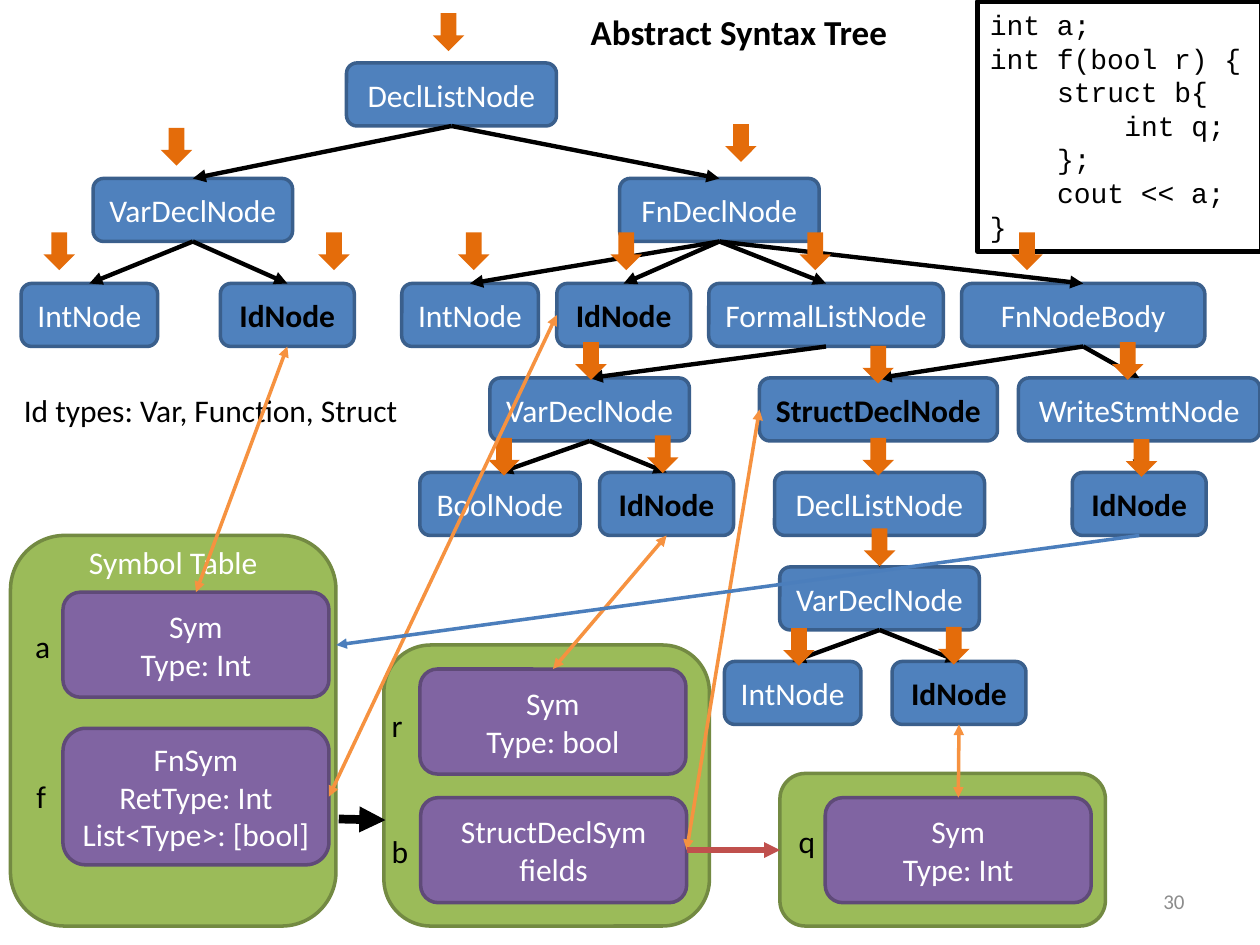
from lxml import etree
from pptx import Presentation
from pptx.dml.color import RGBColor
from pptx.enum import shapes as s, text as t
from pptx.oxml import ns
from pptx.util import Pt

HUES = {
    "black": "000000", "white": "FFFFFF", "gray": "8C8C8C",
    "node": "4F81BD", "node edge": "3A5F8C",
    "scope": "9BBB59", "scope edge": "738A42",
    "sym": "8064A2", "sym edge": "5F4A78",
    "mark": "E46C0A", "link": "F69240", "field": "C0504D", "use": "4B7EBC",
}
HUE = {name: RGBColor.from_string(code) for name, code in HUES.items()}

deck = Presentation()
deck.slide_width, deck.slide_height = Pt(720), Pt(540)
slide = deck.slides.add_slide(deck.slide_layouts[6])


def put(kind, box, words="", fill=None, edge=None, ink="white", size=18,
        bold=False, font="Calibri", align=t.PP_ALIGN.CENTER,
        anchor=t.MSO_ANCHOR.MIDDLE, width=2):
    """Add a preset shape, or a text box if kind is None, with its text."""
    place = [Pt(n) for n in box]
    if kind is None:
        item = slide.shapes.add_textbox(*place)
    else:
        item = slide.shapes.add_shape(kind, *place)
        item.shadow.inherit = False
        if fill:
            item.fill.solid()
            item.fill.fore_color.rgb = HUE[fill]
        else:
            item.fill.background()
        if edge:
            item.line.color.rgb = HUE[edge]
            item.line.width = Pt(width)
        else:
            item.line.fill.background()
    frame = item.text_frame
    frame.text = words
    frame.word_wrap = False
    frame.vertical_anchor = anchor
    for para in frame.paragraphs:
        para.alignment = align
        for run in para.runs:
            run.font.name, run.font.size, run.font.bold = font, Pt(size), bold
            run.font.color.rgb = HUE[ink]
    return item


def link(start, end, hue, width, both=False):
    """Join two ends, each a (shape, site) pair or an (x, y) point."""
    line = slide.shapes.add_connector(s.MSO_CONNECTOR.STRAIGHT, 0, 0, 0, 0)
    if isinstance(start[0], (int, float)):
        line.begin_x, line.begin_y = Pt(start[0]), Pt(start[1])
    else:
        line.begin_connect(*start)
    if isinstance(end[0], (int, float)):
        line.end_x, line.end_y = Pt(end[0]), Pt(end[1])
    else:
        line.end_connect(*end)
    line.line.color.rgb = HUE[hue]
    line.line.width = Pt(width)
    stroke = line.line._get_or_add_ln()
    for tag in ["a:headEnd", "a:tailEnd"] if both else ["a:tailEnd"]:
        etree.SubElement(stroke, ns.qn(tag)).set("type", "triangle")
    etree.SubElement(line._element.spPr, ns.qn("a:effectLst"))


ROUND = s.MSO_SHAPE.ROUNDED_RECTANGLE
LEFT, TOP = t.PP_ALIGN.LEFT, t.MSO_ANCHOR.TOP
NORTH, WEST, SOUTH, EAST = range(4)

put(None, (516.2, 500.5, 167.8, 28.8), "30", ink="gray", size=12,
    align=t.PP_ALIGN.RIGHT).text_frame.word_wrap = True

# Source code, with the depth of each line
code = [(0, "int a;"), (0, "int f(bool r) {"), (1, "struct b{"),
        (2, "int q;"), (1, "};"), (1, "cout << a;"), (0, "}")]
panel = put(s.MSO_SHAPE.RECTANGLE, (558.6, 0.8, 162, 143),
            "\n".join(row for depth, row in code), edge="black", ink="black",
            size=16, font="Courier New", align=LEFT, anchor=TOP, width=2.5)
for (depth, row), para in zip(code, panel.text_frame.paragraphs):
    para._p.get_or_add_pPr().set("marL", str(Pt(38.4 * depth)))

# Tree: key, label, centre x, row top, parent key
tree = [
    ("root", "DeclListNode", 258, 36, None),
    ("var a", "VarDeclNode", 110.2, 102, "root"),
    ("fn", "FnDeclNode", 411.1, 102, "root"),
    ("type a", "IntNode", 51.1, 162, "var a"),
    ("id a", "IdNode", 164.2, 162, "var a"),
    ("type f", "IntNode", 268.6, 162, "fn"),
    ("id f", "IdNode", 356.4, 162, "fn"),
    ("formals", "FormalListNode", 472, 162, "fn"),
    ("body", "FnNodeBody", 619, 162, "fn"),
    ("var r", "VarDeclNode", 337, 216, "formals"),
    ("struct", "StructDeclNode", 502, 216, "body"),
    ("write", "WriteStmtNode", 651, 216, "body"),
    ("type r", "BoolNode", 285.7, 270, "var r"),
    ("id r", "IdNode", 380.9, 270, "var r"),
    ("decls", "DeclListNode", 502.6, 270, "struct"),
    ("use a", "IdNode", 651, 270, "write"),
    ("var q", "VarDeclNode", 502.6, 324, "decls"),
    ("type q", "IntNode", 453, 378, "var q"),
    ("id q", "IdNode", 548, 378, "var q"),
]
wide = {"DeclListNode": 120, "VarDeclNode": 114, "FnDeclNode": 114,
        "IntNode": 78, "IdNode": 76.5, "FormalListNode": 134,
        "FnNodeBody": 139, "StructDeclNode": 136, "WriteStmtNode": 138,
        "BoolNode": 91.5}
nodes = {}
for key, label, mid, top, up in tree:
    named = label in ("IdNode", "StructDeclNode")
    nodes[key] = put(ROUND, (mid - wide[label] / 2, top, wide[label], 36),
                     label, "node", "node edge",
                     ink="black" if named else "white", bold=named)
for key, label, mid, top, up in tree:
    if up:
        link((nodes[up], SOUTH), (nodes[key], NORTH), "black", 2.5)

put(None, (330.5, 2.2, 185, 31.5), "Abstract Syntax Tree", ink="black",
    size=20, bold=True, align=LEFT, anchor=TOP)
table = put(ROUND, (6, 306, 186, 223.2), "Symbol Table", "scope",
            "scope edge", anchor=TOP)
table.text_frame.margin_top = Pt(-4.5)
put(None, (6.5, 219.6, 231, 29), "Id types: Var, Function, Struct",
    ink="black", align=LEFT, anchor=TOP)

# Visit markers
marks = [(245.5, 9.4), (90, 74.9), (412.6, 72.7), (326.9, 197.3),
         (491, 199.4), (633.6, 197.3), (277.2, 252), (367.9, 250.6),
         (491, 252), (641.5, 252.7), (491.8, 303.8), (445.7, 360.7),
         (534.2, 360)]
marks += [(x, 134.6) for x in (23, 180, 259.9, 347, 455, 576)]
for x, y in marks:
    put(s.MSO_SHAPE.RIGHT_ARROW, (x, y, 21.6, 18), fill="mark").rotation = 90

# Inner scopes and the symbols
for box in [(219.4, 368.6, 186, 160.6), (445.7, 442, 186, 87.2)]:
    put(ROUND, box, fill="scope", edge="scope edge")
syms = {}
for name, words, x, y, high, tag_x, tag_y in [
    ("a", "Sym\nType: Int", 36, 338.4, 60, 13, 354.5),
    ("f", "FnSym\nRetType: Int\nList<Type>: [bool]", 36, 416.2, 78, 13.7, 440.6),
    ("b", "StructDeclSym\nfields", 240.4, 455.8, 60, 216.7, 471.6),
    ("r", "Sym\nType: bool", 240, 382.3, 60, 216.7, 399.6),
    ("q", "Sym\nType: Int", 471.6, 455.8, 60, 449.3, 466),
]:
    syms[name] = put(ROUND, (x, y, 152, high), words, "sym", "sym edge")
    put(None, (tag_x, tag_y, 24, 29), name, ink="black", align=LEFT, anchor=TOP)

# Links between tree and symbols
for key, side, name, site in [
    ("id a", SOUTH, "a", NORTH), ("id f", WEST, "f", EAST),
    ("id r", SOUTH, "r", NORTH), ("struct", WEST, "b", EAST),
    ("id q", SOUTH, "q", NORTH),
]:
    link((nodes[key], side), (syms[name], site), "link", 2, both=True)
link((193.6, 468), (220.3, 468.6), "black", 5)
link((syms["b"], EAST), (445.7, 485.8), "field", 3)
link((nodes["use a"], SOUTH), (192.2, 368.6), "use", 2)

deck.save("out.pptx")
